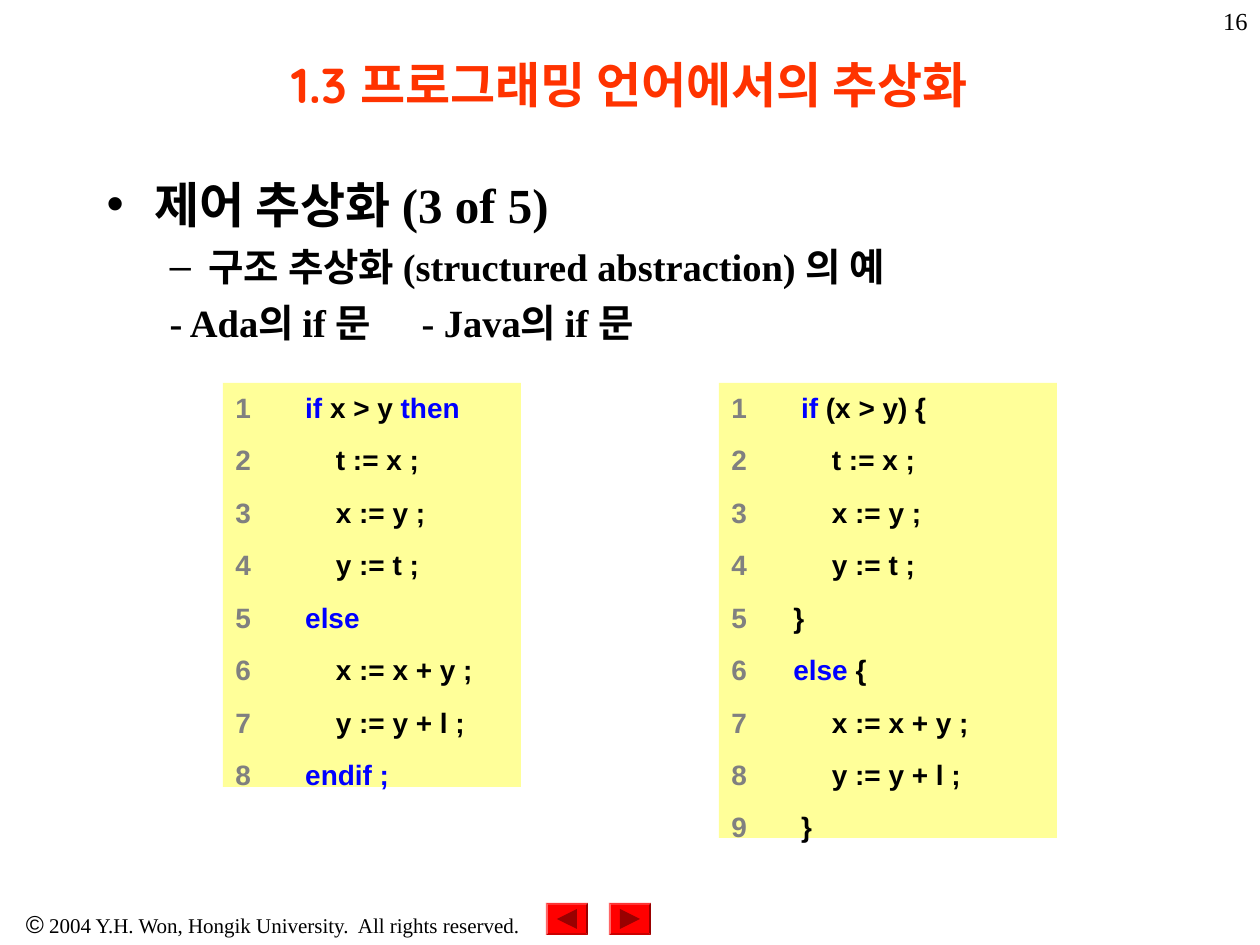
from dataclasses import dataclass

from lxml.etree import SubElement
from pptx import Presentation
from pptx.dml.color import RGBColor
from pptx.enum.shapes import MSO_SHAPE
from pptx.enum.text import MSO_ANCHOR, MSO_AUTO_SIZE, PP_ALIGN
from pptx.oxml.ns import qn
from pptx.util import Emu, Pt

PX = 914400 // 126
BLACK, BLUE, GRAY = "000000", "0000FF", "808080"
SERIF, SANS = "Times New Roman", "Arial"


@dataclass
class Box:
    left: int
    top: int
    width: int
    height: int

    def emu(self) -> tuple:
        return tuple(px(n) for n in (self.left, self.top, self.width, self.height))


@dataclass
class Listing:
    box: Box
    lines: list  # keywords stand between asterisks


@dataclass
class BodyLine:
    text: str
    level: int
    size: int
    before: float
    margin: int
    indent: int
    bullet: str = ""
    tabs: tuple = ()


def px(number: int) -> Emu:
    return Emu(number * PX)


def color(value: str) -> RGBColor:
    return RGBColor.from_string(value)


def style(font, name: str, size: float, value: str, bold: bool = False) -> None:
    font.name, font.size, font.bold = name, Pt(size), bold
    font.color.rgb = color(value)


def add_run(paragraph, text: str, name: str, size: float, value: str, bold: bool = False) -> None:
    run = paragraph.add_run()
    run.text = text
    style(run.font, name, size, value, bold)


def place(shape, box: Box) -> None:
    shape.left, shape.top, shape.width, shape.height = box.emu()


def add_shape(slide, kind, box: Box, fill: str):
    shape = slide.shapes.add_shape(kind, *box.emu())
    shape.shadow.inherit = False
    shape.fill.solid()
    shape.fill.fore_color.rgb = color(fill)
    shape.line.fill.background()
    return shape


def add_label(slide, box: Box, alignment, pieces: list) -> None:
    text_frame = slide.shapes.add_textbox(*box.emu()).text_frame
    text_frame.word_wrap = True
    paragraph = text_frame.paragraphs[0]
    paragraph.alignment = alignment
    for text, name, size in pieces:
        add_run(paragraph, text, name, size, BLACK)


def add_listing(slide, listing: Listing) -> None:
    shape = add_shape(slide, MSO_SHAPE.RECTANGLE, listing.box, "FFFF99")
    text_frame = shape.text_frame
    text_frame.word_wrap = True
    text_frame.vertical_anchor = MSO_ANCHOR.TOP
    for number, line in enumerate(listing.lines, 1):
        paragraph = text_frame.paragraphs[0] if number == 1 else text_frame.add_paragraph()
        paragraph.alignment = PP_ALIGN.LEFT
        paragraph.line_spacing = 1.04
        paragraph.space_before = Pt(0 if number == 1 else 10)
        add_run(paragraph, str(number), SANS, 16, GRAY, True)
        for index, piece in enumerate(line.split("*")):
            if piece:
                add_run(paragraph, piece, SANS, 16, BLUE if index % 2 else BLACK, True)


def add_body_line(paragraph, line: BodyLine) -> None:
    paragraph.text = line.text
    paragraph.level = line.level
    paragraph.space_before = Pt(line.before)
    properties = paragraph._p.get_or_add_pPr()
    properties.set("marL", str(px(line.margin)))
    properties.set("indent", str(px(line.indent)))
    if line.bullet:
        SubElement(properties, qn("a:buChar")).set("char", line.bullet)
    else:
        SubElement(properties, qn("a:buNone"))
    if line.tabs:
        tab_list = SubElement(properties, qn("a:tabLst"))
        for position in line.tabs:
            tab = SubElement(tab_list, qn("a:tab"))
            tab.set("pos", str(px(position)))
            tab.set("algn", "l")
    for run in paragraph.runs:
        style(run.font, SERIF, line.size, BLACK, True)


def add_button(slide, box: Box, rotation: int) -> None:
    bevel = add_shape(slide, MSO_SHAPE.BEVEL, box, "FF0000")
    bevel.adjustments[0] = 0.06
    side = 20
    arrow_box = Box(box.left + (box.width - side) // 2, box.top + (box.height - side) // 2, side, side)
    arrow = add_shape(slide, MSO_SHAPE.ISOSCELES_TRIANGLE, arrow_box, "990000")
    arrow.rotation = rotation


BODY = [
    BodyLine("제어 추상화 (3 of 5)", 0, 28, 0, 48, -48, "•"),
    BodyLine("구조 추상화 (structured abstraction) 의 예", 1, 22, 5.5, 102, -39, "–"),
    BodyLine("\t- Ada의 if 문\t- Java의 if 문", 1, 22, 5.5, 0, 0, tabs=(150, 712)),
]
LISTINGS = [
    Listing(Box(223, 383, 298, 404), [
        "       *if* x > y *then*",
        "           t := x ;",
        "           x := y ;",
        "           y := t ;",
        "       *else*",
        "           x := x + y ;",
        "           y := y + l ;",
        "       *endif ;*",
    ]),
    Listing(Box(719, 383, 338, 455), [
        "       *if* (x > y) {",
        "           t := x ;",
        "           x := y ;",
        "           y := t ;",
        "      }",
        "      *else* {",
        "           x := x + y ;",
        "           y := y + l ;",
        "       }",
    ]),
]


def main() -> None:
    presentation = Presentation()
    presentation.slide_width, presentation.slide_height = px(1260), px(945)
    slide = presentation.slides.add_slide(presentation.slide_layouts[1])

    # Footer, navigation buttons and page number
    add_label(slide, Box(0, 903, 546, 42), PP_ALIGN.CENTER, [
        ("©", SANS, 14),
        (" 2004 Y.H. Won, Hongik University.  All rights reserved.", SERIF, 12),
    ])
    for left, rotation in ((546, 270), (609, 90)):
        add_button(slide, Box(left, 903, 42, 32), rotation)
    add_label(slide, Box(998, 0, 262, 63), PP_ALIGN.RIGHT, [("16", SERIF, 14)])

    # Title
    title = slide.shapes.title
    place(title, Box(94, 10, 1071, 147))
    title.text_frame.text = "1.3 프로그래밍 언어에서의 추상화"
    title.text_frame.vertical_anchor = MSO_ANCHOR.MIDDLE
    paragraph = title.text_frame.paragraphs[0]
    paragraph.alignment = PP_ALIGN.CENTER
    style(paragraph.runs[0].font, "Quicksand", 28, "FF3300", True)

    # Outline
    body = slide.placeholders[1]
    place(body, Box(94, 168, 1071, 724))
    body.text_frame.auto_size = MSO_AUTO_SIZE.NONE
    for index, line in enumerate(BODY):
        add_body_line(body.text_frame.add_paragraph() if index else body.text_frame.paragraphs[0], line)

    # Code listings
    for listing in LISTINGS:
        add_listing(slide, listing)

    presentation.save("out.pptx")


if __name__ == "__main__":
    main()
